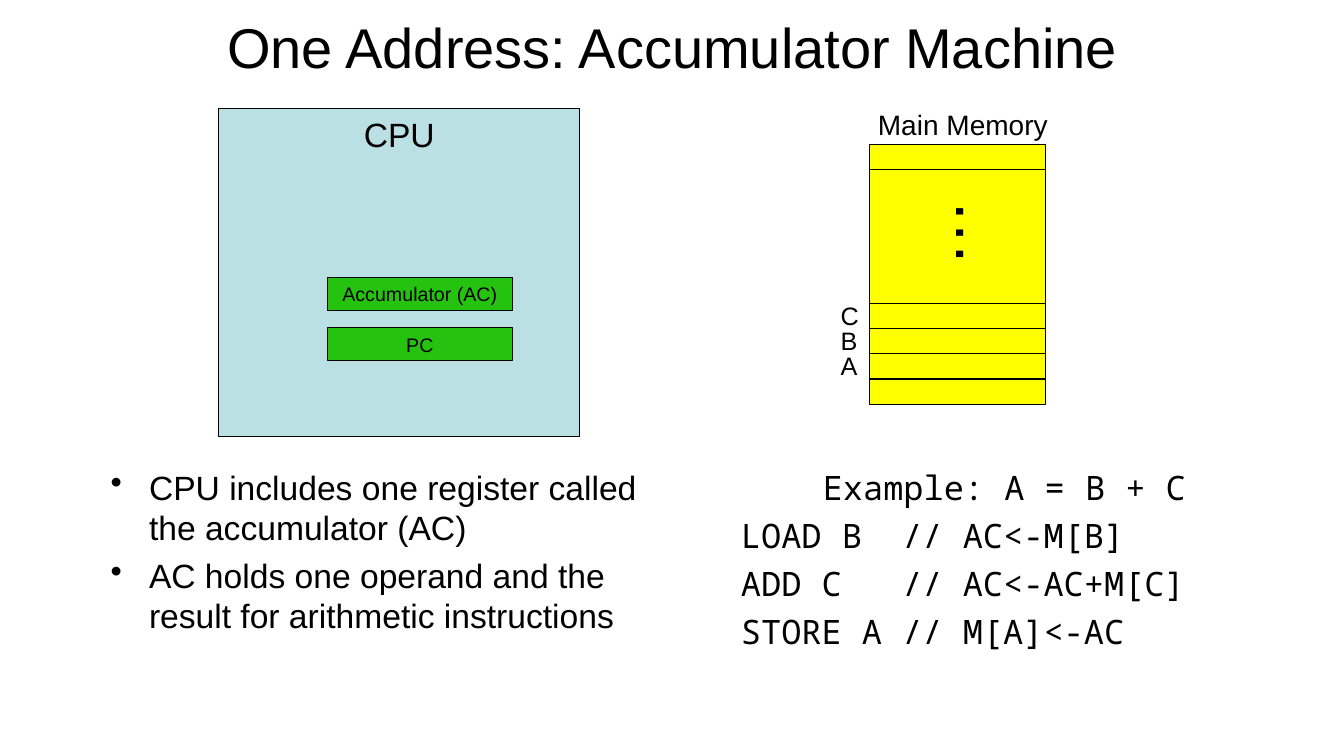
import pptx
import pptx.util
import pptx.dml.color
import pptx.enum.text
import pptx.enum.shapes
import pptx.oxml.xmlchemy

Inches, Pt = pptx.util.Inches, pptx.util.Pt
Align = pptx.enum.text.PP_ALIGN
Anchor = pptx.enum.text.MSO_ANCHOR
Fit = pptx.enum.text.MSO_AUTO_SIZE
CENTER, LEFT = Align.CENTER, Align.LEFT
BLACK = "000000"


def color(code):
    return pptx.dml.color.RGBColor.from_string(code)


def assign(item, values):
    for key, value in values.items():
        setattr(item, key, value)


def place(shape, box):
    assign(shape, dict(zip(("left", "top", "width", "height"), map(Inches, box))))


def write(shape, lines, size, font="Arial", aligns=(LEFT,), frame=None, para=None):
    body = shape.text_frame
    assign(body, {"word_wrap": True, "vertical_anchor": Anchor.TOP, **(frame or {})})
    for n, line in enumerate(lines):
        p = body.add_paragraph() if n else body.paragraphs[0]
        assign(p, {"alignment": aligns[min(n, len(aligns) - 1)], **(para or {})})
        run = p.add_run()
        run.text = line
        assign(run.font, {"size": Pt(size), "name": font})
        run.font.color.rgb = color(BLACK)


def text(slide, box, lines, size, **style):
    shape = slide.shapes.add_textbox(*map(Inches, box))
    write(shape, lines, size, **style)
    return shape


def label(slide, box, word, size, **style):
    frame = {"word_wrap": False, "auto_size": Fit.SHAPE_TO_FIT_TEXT}
    return text(slide, box, [word], size, frame=frame, **style)


def block(slide, box, fill):
    kind = pptx.enum.shapes.MSO_SHAPE.RECTANGLE
    shape = slide.shapes.add_shape(kind, *map(Inches, box))
    shape.shadow.inherit = False
    shape.fill.solid()
    shape.fill.fore_color.rgb = color(fill)
    shape.line.color.rgb = color(BLACK)
    shape.line.width = Pt(0.75)
    return shape


def rule(slide, left, right, y):
    kind = pptx.enum.shapes.MSO_CONNECTOR.STRAIGHT
    line = slide.shapes.add_connector(kind, *map(Inches, (left, y, right, y)))
    line.line.color.rgb = color(BLACK)
    line.line.width = Pt(0.75)
    line._element.spPr.append(pptx.oxml.xmlchemy.OxmlElement("a:effectLst"))


def title(slide, box):
    shape = slide.shapes.title
    place(shape, box)
    write(shape, ["One Address: Accumulator Machine"], 40, aligns=(CENTER,),
          frame={"vertical_anchor": Anchor.MIDDLE, "auto_size": Fit.NONE})


def notes(slide, box):
    lines = ["CPU includes one register called the accumulator (AC)",
             "AC holds one operand and the result for arithmetic instructions"]
    shape = text(slide, box, lines, 24, para={"space_before": Pt(5.5)})
    for p in shape.text_frame.paragraphs:
        props = p._p.get_or_add_pPr()
        props.set("marL", str(Inches(0.38)))
        props.set("indent", str(-Inches(0.38)))
        mark = pptx.oxml.xmlchemy.OxmlElement("a:buChar")
        mark.set("char", "•")
        props.append(mark)


def code(slide, box):
    lines = ["Example: A = B + C", "LOAD B  // AC<-M[B]",
             "ADD C   // AC<-AC+M[C]", "STORE A // M[A]<-AC"]
    text(slide, box, lines, 24, font="Noto Sans Mono", aligns=(CENTER, LEFT),
         para={"space_before": Pt(5.5)})


def memory(slide, box):
    left, top, width, height = box
    row = 0.25
    base = top + height
    label(slide, (left - 0.02, top - 0.35, 1.9, 0.37), "Main Memory", 20,
          aligns=(CENTER,), para={"line_spacing": 0.8})
    block(slide, box, "FFFF00")
    for y in [top + row] + [base - row * n for n in range(1, 5)]:
        rule(slide, left, left + width, y)
    dots = label(slide, (left + 0.69, top + 0.44, 0.88, 0.91), "…", 48)
    dots.rotation = 90
    for n, name in enumerate("ABC", 2):
        label(slide, (left - 0.38, base - row * n - 0.08, 0.37, 0.4), name, 18)


def cpu(slide, box):
    left, top = box[:2]
    write(block(slide, box, "BBE0E3"), ["CPU"], 24, aligns=(CENTER,))
    for n, name in enumerate(("Accumulator (AC)", "PC")):
        cell = block(slide, (left + 1.08, top + 1.67 + 0.5 * n, 1.83, 0.33), "25C210")
        write(cell, [name], 14, aligns=(CENTER,),
              frame={"vertical_anchor": Anchor.MIDDLE})


deck = pptx.Presentation()
assign(deck, {"slide_width": Inches(13.33), "slide_height": Inches(7.5)})
page = deck.slides.add_slide(deck.slide_layouts[5])
title(page, (1.83, 0, 9.67, 0.92))
notes(page, (1, 4.58, 5.67, 2.9))
code(page, (7.25, 4.58, 5.42, 2.58))
memory(page, (8.62, 1.43, 1.75, 2.58))
cpu(page, (2.17, 1.08, 3.58, 3.25))
deck.save("out.pptx")
